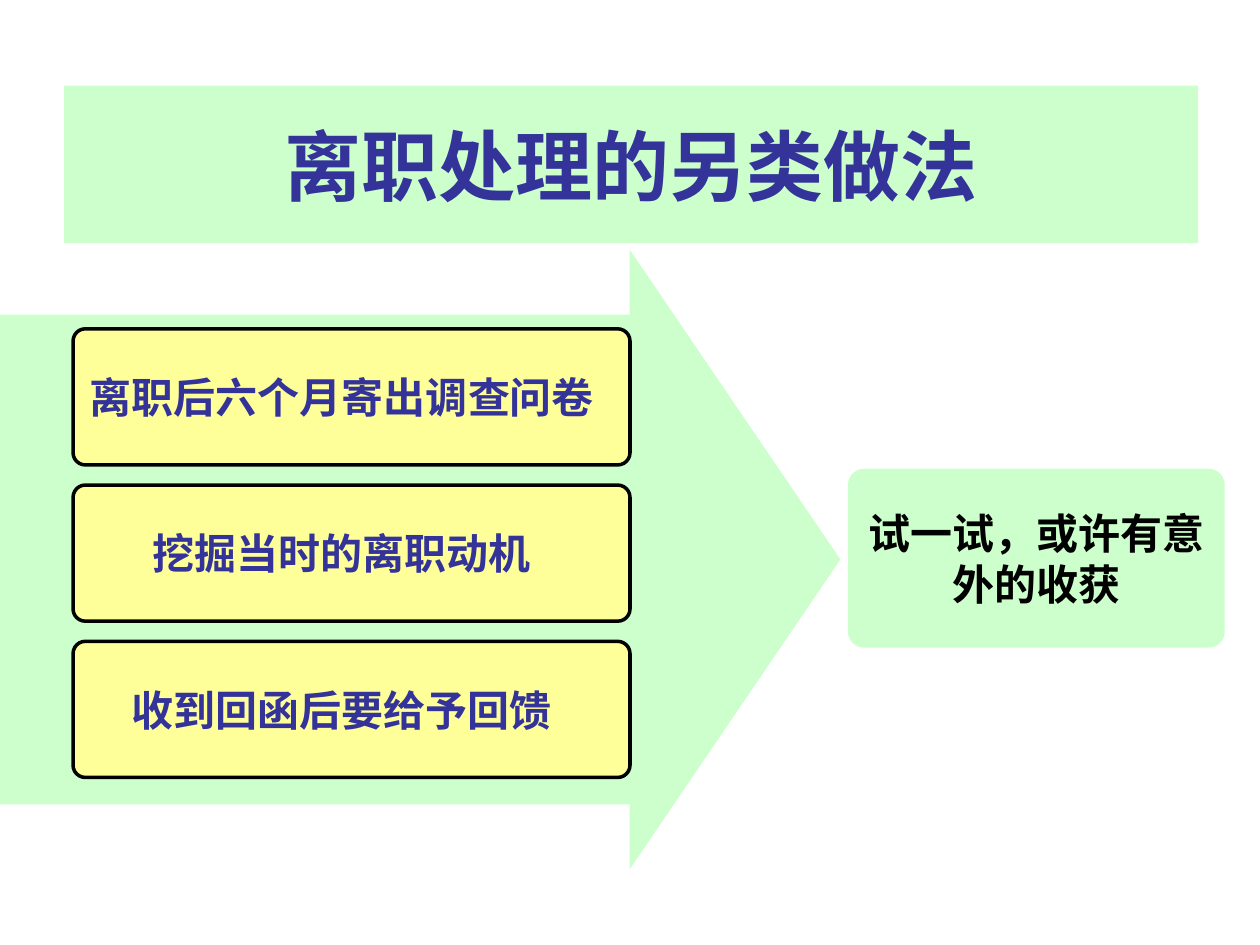
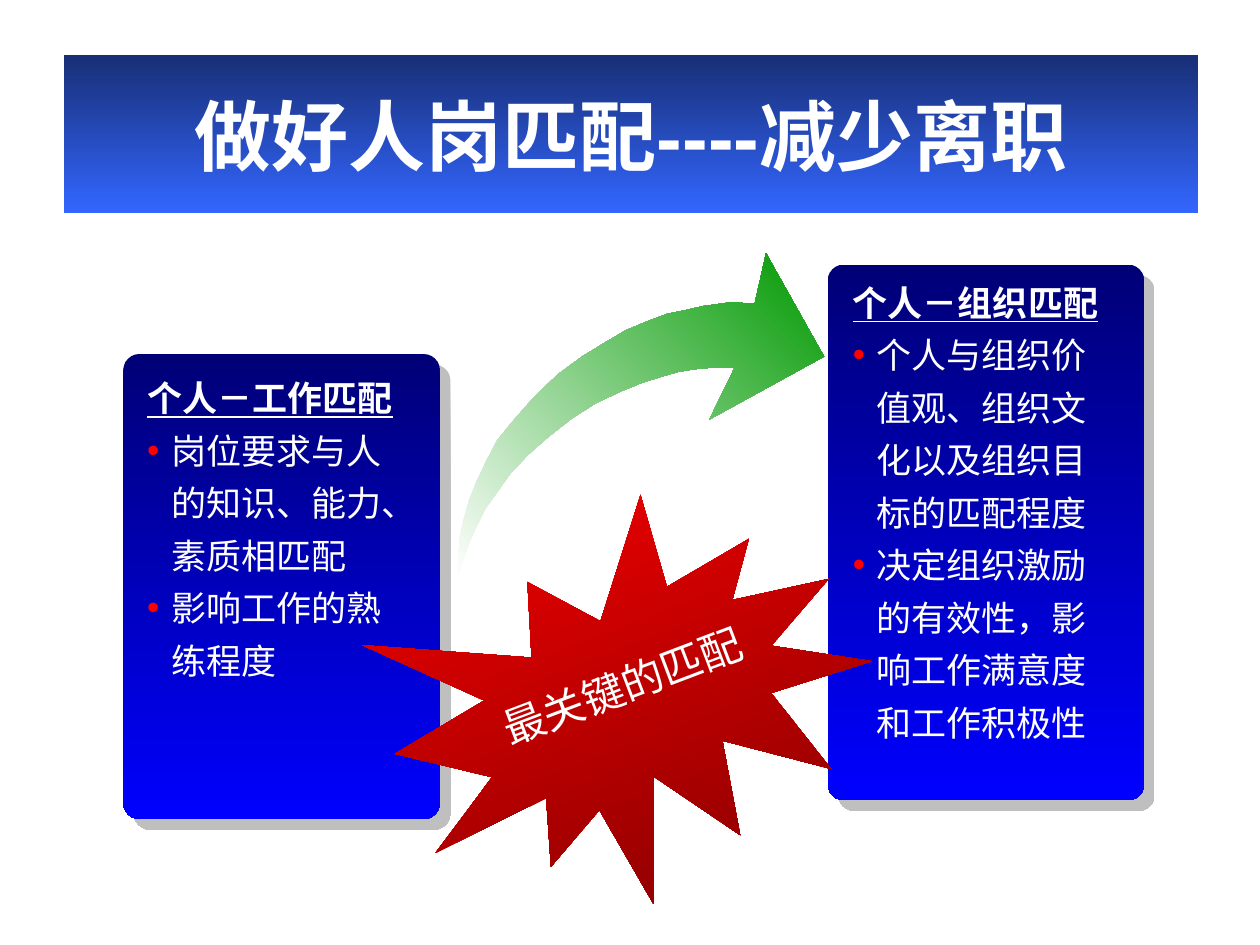
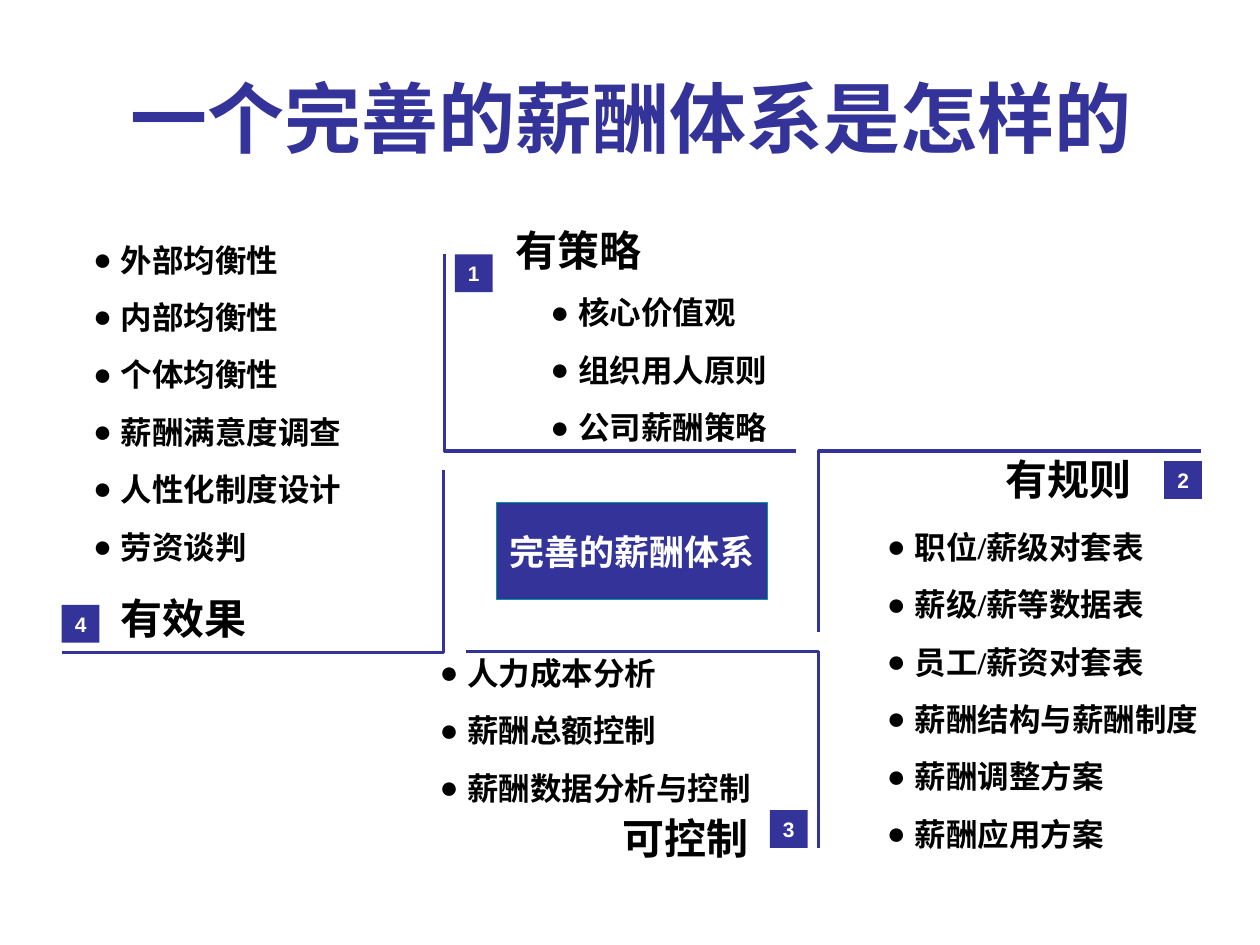
from dataclasses import dataclass
from typing import NamedTuple

from lxml import etree
from pptx import Presentation
from pptx.dml.color import RGBColor
from pptx.enum.shapes import MSO_SHAPE
from pptx.enum.text import MSO_ANCHOR, PP_ALIGN
from pptx.oxml.ns import qn
from pptx.util import Inches, Pt

RECT = MSO_SHAPE.RECTANGLE
ROUND_RECT = MSO_SHAPE.ROUNDED_RECTANGLE
RIGHT_ARROW = MSO_SHAPE.RIGHT_ARROW
STAR = MSO_SHAPE.EXPLOSION1
LEFT, CENTER, RIGHT = PP_ALIGN.LEFT, PP_ALIGN.CENTER, PP_ALIGN.RIGHT
TOP, MIDDLE = MSO_ANCHOR.TOP, MSO_ANCHOR.MIDDLE
DOWN, UP_RIGHT = 270, 45


class Gradient(NamedTuple):
    start: str
    end: str
    angle: float


class Line(NamedTuple):
    color: str
    width: float


class Area(NamedTuple):
    left: float
    top: float
    width: float
    height: float


@dataclass(frozen=True)
class Theme:
    navy: str = "333399"
    mint: str = "CCFFCC"
    yellow: str = "FFFF99"
    white: str = "FFFFFF"
    black: str = "000000"
    red: str = "FF0000"
    teal: str = "009999"
    shadow: str = "808080"
    title_gradient: Gradient = Gradient("182F76", "3366FF", DOWN)
    panel_gradient: Gradient = Gradient("000076", "0000FF", DOWN)
    star_gradient: Gradient = Gradient("FF0000", "760000", DOWN)
    arrow_gradient: Gradient = Gradient("FFFFFF", "009900", UP_RIGHT)
    title_size: float = 44
    heading_size: float = 24
    panel_size: float = 20
    list_size: float = 18
    badge_size: float = 12
    sans: str = "Arial"
    serif: str = "Times New Roman"
    chinese: str = "Noto Sans CJK SC"


THEME = Theme()


@dataclass(frozen=True)
class Style:
    size: float
    color: str
    font: str = THEME.chinese
    bold: bool = True
    underline: bool = False
    align: PP_ALIGN = LEFT
    spacing: float | None = None
    before: float = 0
    indent: float = 0
    bullet: str = ""
    bullet_color: str = THEME.black


@dataclass(frozen=True)
class Frame:
    anchor: MSO_ANCHOR = MIDDLE
    insets: tuple[float, float, float, float] = (0.1, 0.05, 0.1, 0.05)
    wrap: bool = True


class Panel(NamedTuple):
    area: Area
    text_area: Area
    heading: str
    heading_font: str
    points: tuple[str, ...]


class Quadrant(NamedTuple):
    number: str
    heading: str
    align: PP_ALIGN
    badge: tuple[float, float]
    heading_area: Area
    list_area: Area
    bracket: tuple[tuple[float, float], ...]
    points: tuple[str, ...]


TIGHT = Frame(insets=(0, 0, 0, 0))
BADGE_FRAME = Frame(insets=(0, 0, 0, 0), wrap=False)
STEP_FRAME = Frame(insets=(0.1, 0.05, 0.25, 0.05), wrap=False)
LABEL_FRAME = Frame(wrap=False)
LIST_FRAME = Frame(anchor=TOP)

STEP = Style(THEME.heading_size, THEME.navy, align=CENTER)
OUTCOME = Style(THEME.heading_size, THEME.black, align=CENTER)
PANEL_POINT = Style(THEME.panel_size, THEME.white, THEME.sans, bold=False, spacing=1.25,
                    indent=0.19, bullet="•", bullet_color=THEME.red)
STAR_LABEL = Style(THEME.heading_size, THEME.white, bold=False, align=CENTER)
BADGE = Style(THEME.badge_size, THEME.white, THEME.sans, align=CENTER)
CORE = Style(THEME.panel_size, THEME.white, THEME.serif, align=CENTER)
LIST_POINT = Style(THEME.list_size, THEME.black, THEME.serif, before=11.2,
                   indent=0.22, bullet="●")

STEPS = ("离职后六个月寄出调查问卷", "挖掘当时的离职动机", "收到回函后要给予回馈")

PANELS = (
    Panel(Area(0.98, 2.81, 2.51, 3.69), Area(1.07, 2.86, 2.33, 3.2),
          "个人－工作匹配", THEME.sans,
          ("岗位要求与人的知识、能力、素质相匹配", "影响工作的熟练程度")),
    Panel(Area(6.57, 2.1, 2.51, 4.25), Area(6.67, 2.1, 2.33, 3.85),
          "个人－组织匹配", THEME.chinese,
          ("个人与组织价值观、组织文化以及组织目标的匹配程度",
           "决定组织激励的有效性，影响工作满意度和工作积极性")),
)

ARROW_INNER = (
    (3.64, 4.6), (3.66, 4.49), (3.73, 4.29), (3.85, 4.04), (4.05, 3.76), (4.19, 3.61),
    (4.35, 3.47), (4.54, 3.32), (4.73, 3.2), (4.92, 3.11), (5.09, 3.04), (5.25, 2.99),
    (5.39, 2.95), (5.52, 2.93), (5.63, 2.92), (5.83, 2.92),
)
ARROW_HEAD = ((5.63, 3.33), (6.54, 2.83), (6.08, 2.01))
ARROW_OUTER = (
    (5.99, 2.41), (5.8, 2.4), (5.58, 2.43), (5.45, 2.46), (5.3, 2.49), (5.14, 2.55),
    (4.97, 2.62), (4.8, 2.72), (4.62, 2.83), (4.43, 2.97), (4.25, 3.14), (4.09, 3.32),
    (3.95, 3.49), (3.86, 3.66), (3.78, 3.83), (3.72, 3.98), (3.68, 4.13), (3.65, 4.26),
    (3.64, 4.38), (3.63, 4.48),
)

QUADRANTS = (
    Quadrant("1", "有策略", LEFT, (3.61, 2.02), Area(4.09, 1.78, 2.78, 0.4),
             Area(4.27, 2.28, 3.29, 1.32), ((3.53, 2.02), (3.53, 3.58), (6.32, 3.58)),
             ("核心价值观", "组织用人原则", "公司薪酬策略")),
    Quadrant("2", "有规则", CENTER, (9.24, 3.66), Area(7.81, 3.6, 1.34, 0.4),
             Area(6.94, 4.14, 2.78, 2.68), ((9.53, 3.58), (6.5, 3.58), (6.5, 5.02)),
             ("职位/薪级对套表", "薪级/薪等数据表", "员工/薪资对套表",
              "薪酬结构与薪酬制度", "薪酬调整方案", "薪酬应用方案")),
    Quadrant("3", "可控制", RIGHT, (6.11, 6.43), Area(3.16, 6.45, 2.78, 0.4),
             Area(3.39, 5.14, 3.42, 1.32), ((6.5, 6.73), (6.5, 5.17), (3.7, 5.17)),
             ("人力成本分析", "薪酬总额控制", "薪酬数据分析与控制")),
    Quadrant("4", "有效果", LEFT, (0.49, 4.8), Area(0.96, 4.7, 1.34, 0.4),
             Area(0.64, 1.86, 2.52, 2.68), ((0.49, 5.18), (3.52, 5.18), (3.52, 3.73)),
             ("外部均衡性", "内部均衡性", "个体均衡性",
              "薪酬满意度调查", "人性化制度设计", "劳资谈判")),
)


def set_values(target, values: dict) -> None:
    for name, value in values.items():
        setattr(target, name, value)


def paint(shape, fill: str | Gradient | None, line: Line | None = None) -> None:
    shape.shadow.inherit = False
    if isinstance(fill, Gradient):
        shape.fill.gradient()
        shape.fill.gradient_angle = fill.angle
        for stop, color in zip(shape.fill.gradient_stops, (fill.start, fill.end)):
            stop.color.rgb = RGBColor.from_string(color)
    elif fill:
        shape.fill.solid()
        shape.fill.fore_color.rgb = RGBColor.from_string(fill)
    else:
        shape.fill.background()
    if line:
        shape.line.color.rgb = RGBColor.from_string(line.color)
        shape.line.width = Pt(line.width)
    else:
        shape.line.fill.background()


def add_shadow(shape) -> None:
    effects = shape._element.spPr.find(qn("a:effectLst"))
    outer = etree.SubElement(effects, qn("a:outerShdw"), dist=str(Pt(8.5)), dir="2700000",
                             algn="ctr", rotWithShape="0")
    color = etree.SubElement(outer, qn("a:srgbClr"), val=THEME.shadow)
    etree.SubElement(color, qn("a:alpha"), val="50000")


def add_bullet(para, style: Style) -> None:
    properties = para._p.get_or_add_pPr()
    properties.set("marL", str(Inches(style.indent)))
    properties.set("indent", str(-Inches(style.indent)))
    if style.bullet:
        color = etree.SubElement(properties, qn("a:buClr"))
        etree.SubElement(color, qn("a:srgbClr"), val=style.bullet_color)
        etree.SubElement(properties, qn("a:buFont"), typeface=THEME.sans)
        etree.SubElement(properties, qn("a:buChar"), char=style.bullet)


def write(shape, frame: Frame, *lines: tuple[str, Style]) -> None:
    body = shape.text_frame
    left, top, right, bottom = map(Inches, frame.insets)
    set_values(body, {"margin_left": left, "margin_top": top, "margin_right": right,
                      "margin_bottom": bottom, "word_wrap": frame.wrap,
                      "vertical_anchor": frame.anchor})
    for index, (text, style) in enumerate(lines):
        para = body.add_paragraph() if index else body.paragraphs[0]
        add_bullet(para, style)
        set_values(para, {"alignment": style.align, "line_spacing": style.spacing,
                          "space_before": Pt(style.before if index else 0)})
        span = para.add_run()
        span.text = text
        set_values(span.font, {"name": style.font, "size": Pt(style.size),
                               "bold": style.bold, "underline": style.underline})
        span.font.color.rgb = RGBColor.from_string(style.color)
        etree.SubElement(span._r.get_or_add_rPr(), qn("a:ea"), typeface=THEME.chinese)


def add_block(page, kind: MSO_SHAPE, area: Area, fill: str | Gradient,
              line: Line | None = None, adjust: tuple[float, ...] = ()):
    block = page.shapes.add_shape(kind, *map(Inches, area))
    for index, value in enumerate(adjust):
        block.adjustments[index] = value
    paint(block, fill, line)
    return block


def add_text(page, area: Area, frame: Frame, *lines: tuple[str, Style]):
    box = page.shapes.add_textbox(*map(Inches, area))
    write(box, frame, *lines)
    return box


def add_outline(page, points: tuple[tuple[float, float], ...], close: bool,
                fill: Gradient | None = None, line: Line | None = None) -> None:
    first, *rest = [(Inches(x), Inches(y)) for x, y in points]
    builder = page.shapes.build_freeform(*first)
    builder.add_line_segments(rest, close=close)
    paint(builder.convert_to_shape(), fill, line)


def add_title(page, text: str, top: float, color: str,
              fill: str | Gradient | None = None) -> None:
    area = Area(0.51, top, 9, 1.25)
    style = Style(THEME.title_size, color, THEME.sans, align=CENTER)
    if fill:
        write(add_block(page, RECT, area, fill), Frame(), (text, style))
    else:
        add_text(page, area, Frame(), (text, style))


def build_exit_slide(page) -> None:
    add_title(page, "离职处理的另类做法", 0.68, THEME.navy, THEME.mint)
    add_block(page, RIGHT_ARROW, Area(0, 1.98, 6.67, 4.92), THEME.mint, adjust=(0.79, 0.34))
    for row, text in enumerate(STEPS):
        area = Area(0.58, 2.61 + 1.24 * row, 4.42, 1.08)
        step = add_block(page, ROUND_RECT, area, THEME.yellow, Line(THEME.black, 2), (0.09,))
        write(step, STEP_FRAME, (text, STEP))
    outcome = add_block(page, ROUND_RECT, Area(6.73, 3.72, 2.99, 1.42), THEME.mint,
                        adjust=(0.09,))
    write(outcome, Frame(), ("试一试，或许有意外的收获", OUTCOME))


def build_match_slide(page) -> None:
    add_title(page, "做好人岗匹配----减少离职", 0.44, THEME.white, THEME.title_gradient)
    add_outline(page, ARROW_INNER + ARROW_HEAD + ARROW_OUTER, True, THEME.arrow_gradient)
    for panel in PANELS:
        card = add_block(page, ROUND_RECT, panel.area, THEME.panel_gradient, adjust=(0.05,))
        add_shadow(card)
        heading = Style(THEME.panel_size, THEME.white, panel.heading_font, underline=True,
                        spacing=1.25, indent=0.19)
        add_text(page, panel.text_area, LIST_FRAME, (panel.heading, heading),
                 *((point, PANEL_POINT) for point in panel.points))
    star = add_block(page, STAR, Area(3.12, 4.06, 3.8, 3.07), THEME.star_gradient)
    label = add_text(page, Area(2.97, 5.19, 3.94, 0.5), LIST_FRAME,
                     ("最关键的匹配", STAR_LABEL))
    for tilted in (star, label):
        tilted.rotation = 339.1


def build_pay_slide(page) -> None:
    add_title(page, "一个完善的薪酬体系是怎样的", 0.3, THEME.navy)
    core = add_block(page, RECT, Area(3.94, 3.99, 2.15, 0.77), THEME.navy,
                     Line(THEME.teal, 0.5))
    write(core, LABEL_FRAME, ("完善的薪酬体系", CORE))
    for quadrant in QUADRANTS:
        add_outline(page, quadrant.bracket, False, line=Line(THEME.navy, 1.75))
        badge = add_block(page, RECT, Area(*quadrant.badge, 0.3, 0.3), THEME.navy)
        write(badge, BADGE_FRAME, (quadrant.number, BADGE))
        heading = Style(THEME.heading_size, THEME.black, THEME.sans, align=quadrant.align)
        add_text(page, quadrant.heading_area, TIGHT, (quadrant.heading, heading))
        add_text(page, quadrant.list_area, LIST_FRAME,
                 *((point, LIST_POINT) for point in quadrant.points))


def main() -> None:
    deck = Presentation()
    set_values(deck, {"slide_width": Inches(10), "slide_height": Inches(7.5)})
    for build in (build_exit_slide, build_match_slide, build_pay_slide):
        build(deck.slides.add_slide(deck.slide_layouts[6]))
    deck.save("out.pptx")


if __name__ == "__main__":
    main()
